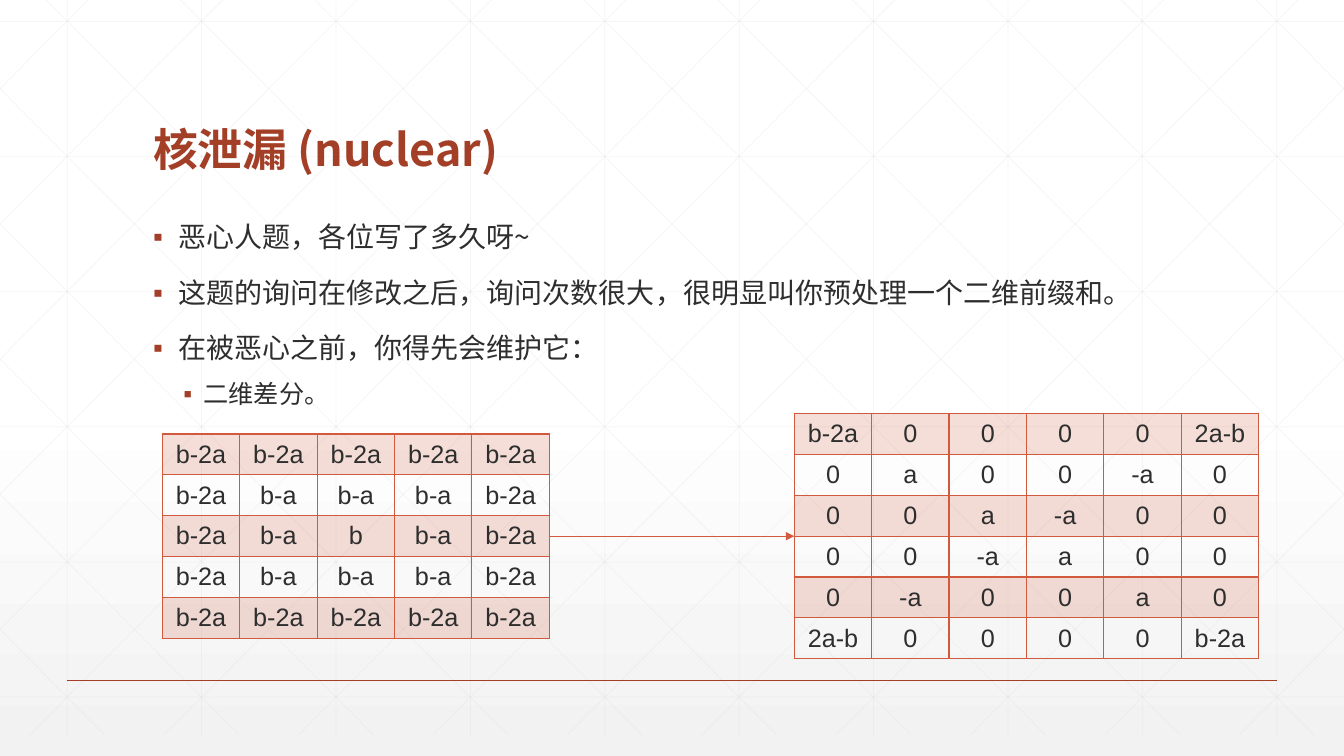
from typing import NamedTuple

from lxml.etree import SubElement
from pptx import Presentation
from pptx.dml.color import RGBColor
from pptx.enum.shapes import MSO_CONNECTOR as Connector
from pptx.enum.text import MSO_ANCHOR as Anchor, PP_ALIGN as Align
from pptx.oxml.ns import qn
from pptx.util import Emu, Inches, Pt

HEADING_FONT, CELL_FONT = "Noto Sans CJK SC", "Arial"
RUST, CORAL, INK, GRID = "A43F27", "D15A3E", "2D2E2D", "D9D9D9"

deck = Presentation()
deck.slide_width, deck.slide_height = Inches(13.333), Inches(7.5)
slide = deck.slides.add_slide(deck.slide_layouts[6])


# Positions and sizes are percentages of the slide's width and height
def across(share: float) -> Emu:
    return Emu(round(deck.slide_width * share / 100))


def down(share: float) -> Emu:
    return Emu(round(deck.slide_height * share / 100))


class Point(NamedTuple):
    x: float
    y: float


class Bullet(NamedTuple):
    text: str
    level: int = 0
    size: int = 20
    before: int = 18
    margin: float = 0.25
    hang: float = 0.25


class Matrix(NamedTuple):
    left: float
    rows: list[list[str]]

    @property
    def right(self) -> float:
        return self.left + CELL_WIDTH * len(self.rows[0])


def rgb(colour: str) -> RGBColor:
    return RGBColor.from_string(colour)


def add_fill(parent, colour: str, opacity: int = 100) -> None:
    swatch = SubElement(SubElement(parent, qn("a:solidFill")), qn("a:srgbClr"), val=colour)
    if opacity < 100:
        SubElement(swatch, qn("a:alpha"), val=str(opacity * 1000))


def write(paragraph, text: str, *, size: float, colour: str, font: str = HEADING_FONT,
          bold: bool = False, align: Align = Align.LEFT, spacing: float = 1.0) -> None:
    paragraph.alignment, paragraph.line_spacing = align, spacing
    run = paragraph.add_run()
    run.text = text
    run.font.size, run.font.bold, run.font.name = Pt(size), bold, font
    run.font.color.rgb = rgb(colour)
    SubElement(run.font._element, qn("a:ea"), typeface=font)


def draw_line(start: Point, end: Point, colour: str, width: float,
              opacity: int = 100, arrow: bool = False) -> None:
    line = slide.shapes.add_connector(Connector.STRAIGHT, across(start.x), down(start.y),
                                      across(end.x), down(end.y))
    line.line.width = Pt(width)
    outline = line.line._get_or_add_ln()
    add_fill(outline, colour, opacity)
    if arrow:
        SubElement(outline, qn("a:tailEnd"), type="triangle")
    SubElement(line._element.spPr, qn("a:effectLst"))


def add_frame(left: float, top: float, width: float, height: float, anchor: Anchor):
    frame = slide.shapes.add_textbox(across(left), down(top), across(width), down(height)).text_frame
    frame.word_wrap, frame.vertical_anchor = True, anchor
    return frame


def add_bullet(paragraph, bullet: Bullet) -> None:
    write(paragraph, bullet.text, size=bullet.size, colour=INK, spacing=0.9)
    paragraph.level, paragraph.space_before = bullet.level, Pt(bullet.before)
    properties = paragraph._p.get_or_add_pPr()
    properties.set("marL", str(Inches(bullet.margin)))
    properties.set("indent", str(-Inches(bullet.hang)))
    SubElement(SubElement(properties, qn("a:buClr")), qn("a:srgbClr"), val=RUST)
    SubElement(properties, qn("a:buFont"), typeface=CELL_FONT)
    SubElement(properties, qn("a:buChar"), char="▪")


def draw_matrix(matrix: Matrix) -> None:
    height = CELL_HEIGHT * len(matrix.rows)
    table = slide.shapes.add_table(
        len(matrix.rows), len(matrix.rows[0]), across(matrix.left), down(AXIS - height / 2),
        across(matrix.right - matrix.left), down(height)).table
    table.first_row = table.horz_banding = False
    for r, values in enumerate(matrix.rows):
        for c, value in enumerate(values):
            cell = table.cell(r, c)
            cell.vertical_anchor = Anchor.MIDDLE
            write(cell.text_frame.paragraphs[0], value, size=18, colour=INK,
                  font=CELL_FONT, align=Align.CENTER)
            properties = cell._tc.get_or_add_tcPr()
            for side in "LRTB":
                add_fill(SubElement(properties, qn(f"a:ln{side}"), w=str(Pt(1))), CORAL)
            if r % 2:
                cell.fill.background()
            else:
                add_fill(properties, CORAL, 20)


# Background: white fading to light grey at the foot
backdrop = slide.background.fill
backdrop.gradient()
backdrop.gradient_angle = 270
stops = backdrop._fill._gradFill.find(qn("a:gsLst"))
for stop in list(stops):
    stops.remove(stop)
for position, shade in ((0, "FFFFFF"), (53, "FFFFFF"), (100, "F2F2F2")):
    mark = SubElement(stops, qn("a:gs"), pos=str(position * 1000))
    SubElement(mark, qn("a:srgbClr"), val=shade)

# Faint lattice: uprights, levels and mirrored diagonals cut at the slide's sides
FOOT, RUN = 97.2, 54.35
lattice = [(Point(5 + 10 * i, 0), Point(5 + 10 * i, FOOT)) for i in range(10)]
lattice += [(Point(0, 2.85 + 17.87 * i), Point(100, 2.85 + 17.87 * i)) for i in range(6)]
for i in range(-5, 10):
    top_x = 3.44 + 10 * i
    ends = [Point(x, (x - top_x) * FOOT / RUN) for x in (max(top_x, 0), min(top_x + RUN, 100))]
    lattice.append((ends[0], ends[1]))
    lattice.append((Point(100 - ends[0].x, ends[0].y), Point(100 - ends[1].x, ends[1].y)))
for start, end in lattice:
    draw_line(start, end, GRID, 0.5, opacity=25)

# Footer rule
draw_line(Point(5, 90), Point(95, 90), RUST, 1)

# Title
title = add_frame(10.65, 7.33, 78.75, 16.67, Anchor.BOTTOM)
write(title.paragraphs[0], "核泄漏 (nuclear)", size=32, colour=RUST, bold=True, spacing=0.9)

# Bullets
bullets = [
    Bullet("恶心人题，各位写了多久呀~"),
    Bullet("这题的询问在修改之后，询问次数很大，很明显叫你预处理一个二维前缀和。"),
    Bullet("在被恶心之前，你得先会维护它："),
    Bullet("二维差分。", level=1, size=18, before=12, margin=0.5, hang=0.2),
]
body = add_frame(10.65, 28.93, 78.75, 55.6, Anchor.TOP)
for i, bullet in enumerate(bullets):
    add_bullet(body.add_paragraph() if i else body.paragraphs[0], bullet)

# Value matrix and its two-dimensional difference, centred on one axis
CELL_WIDTH, CELL_HEIGHT, AXIS = 5.76, 5.41, 70.93
RINGS = ["b", "b-a", "b-2a"]
values = Matrix(12.08, [[RINGS[max(abs(r), abs(c))] for c in range(-2, 3)] for r in range(-2, 3)])
differences = Matrix(59.1, [row.split() for row in (
    "b-2a 0 0 0 0 2a-b",
    "0 a 0 0 -a 0",
    "0 0 a -a 0 0",
    "0 0 -a a 0 0",
    "0 -a 0 0 a 0",
    "2a-b 0 0 0 0 b-2a",
)])
draw_matrix(values)
draw_line(Point(values.right, AXIS), Point(differences.left, AXIS), CORAL, 0.5, arrow=True)
draw_matrix(differences)

deck.save("out.pptx")
